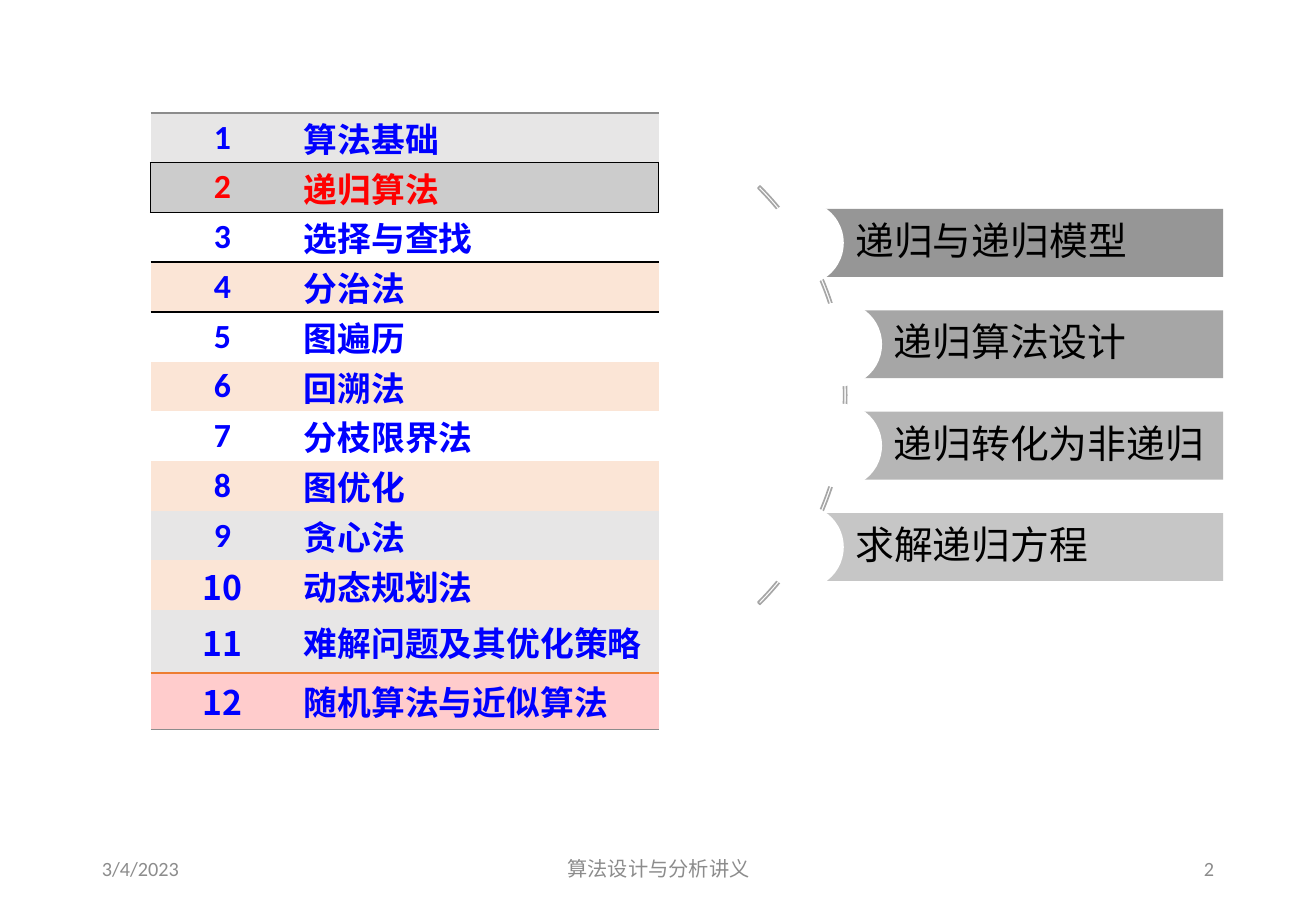
import pptx
import pptx.dml.color
import pptx.enum.shapes
import pptx.enum.text
import pptx.oxml
import pptx.oxml.ns
import pptx.util

Cm = pptx.util.Cm
Pt = pptx.util.Pt
RGBColor = pptx.dml.color.RGBColor
Align = pptx.enum.text.PP_ALIGN
Shape = pptx.enum.shapes.MSO_SHAPE
MIDDLE = pptx.enum.text.MSO_ANCHOR.MIDDLE

LATIN = "Calibri"
CHINESE = "Noto Sans CJK SC"
NO_STYLE = "{2D5ABB26-0587-4C30-8999-92F81FD0307C}"

BLACK = RGBColor(0x00, 0x00, 0x00)
WHITE = RGBColor(0xFF, 0xFF, 0xFF)
BLUE = RGBColor(0x00, 0x00, 0xFF)
RED = RGBColor(0xFF, 0x00, 0x00)
ORANGE = RGBColor(0xED, 0x7D, 0x31)
PALE_GRAY = RGBColor(0xE7, 0xE6, 0xE6)
MID_GRAY = RGBColor(0xCC, 0xCC, 0xCC)
PEACH = RGBColor(0xFB, 0xE5, 0xD6)
PINK = RGBColor(0xFF, 0xCC, 0xCC)
RULE_GRAY = RGBColor(0x8C, 0x8C, 0x8C)
ARC_GRAY = RGBColor(0xA6, 0xA6, 0xA6)

# Chapter title and row fill
CHAPTERS = [
    ("算法基础", PALE_GRAY),
    ("递归算法", MID_GRAY),
    ("选择与查找", None),
    ("分治法", PEACH),
    ("图遍历", None),
    ("回溯法", PEACH),
    ("分枝限界法", None),
    ("图优化", PEACH),
    ("贪心法", PALE_GRAY),
    ("动态规划法", PEACH),
    ("难解问题及其优化策略", PALE_GRAY),
    ("随机算法与近似算法", PINK),
]
CURRENT = 2
# Rules above the chapter rows; the last one closes the table
RULES = {1: RULE_GRAY, 2: BLACK, 3: BLACK, 4: BLACK, 12: ORANGE, 13: RULE_GRAY}

# Topic, left edge in cm, bar colour
TOPICS = [
    ("递归与递归模型", 16.76, RGBColor(0x96, 0x96, 0x96)),
    ("递归算法设计", 17.56, RGBColor(0xA6, 0xA6, 0xA6)),
    ("递归转化为非递归", 17.56, RGBColor(0xB6, 0xB6, 0xB6)),
    ("求解递归方程", 16.76, RGBColor(0xC6, 0xC6, 0xC6)),
]
BAR_TOP, BAR_PITCH, BAR_HEIGHT, BAR_RIGHT = 4.37, 2.12, 1.42, 25.57
DISC = 1.76

# Text, left, width, alignment
FOOTERS = [
    ("3/4/2023", 1.88, 6.2, Align.LEFT),
    ("算法设计与分析讲义", 9.12, 9.3, Align.CENTER),
    ("2", 19.43, 6.2, Align.RIGHT),
]


def write(frame, text, size, color, align, font=LATIN, bold=False):
    frame.word_wrap = True
    frame.vertical_anchor = MIDDLE
    para = frame.paragraphs[0]
    para.text = text
    para.alignment = align
    para.font.size = Pt(size)
    para.font.bold = bold
    para.font.color.rgb = color
    para.font.name = font
    # East Asian typeface next to the Latin one
    latin = para._p.find(".//" + pptx.oxml.ns.qn("a:latin"))
    latin.addnext(pptx.oxml.parse_xml(
        f'<a:ea {pptx.oxml.ns.nsdecls("a")} typeface="{CHINESE}"/>'))
    return para


def add_border(cell, side, color):
    cell._tc.get_or_add_tcPr().append(pptx.oxml.parse_xml(
        f'<a:ln{side} {pptx.oxml.ns.nsdecls("a")} w="12700"><a:solidFill>'
        f'<a:srgbClr val="{color}"/></a:solidFill></a:ln{side}>'))


def fill_cell(cell, number, column, fill):
    cell.margin_left = cell.margin_right = Cm(0.2)
    cell.margin_top = cell.margin_bottom = 0
    cell.vertical_anchor = MIDDLE
    # Borders come before the fill
    if number == CURRENT:
        add_border(cell, "LR"[column], BLACK)
    for side, rule in (("T", number), ("B", number + 1)):
        if rule in RULES:
            add_border(cell, side, RULES[rule])
    if fill is None:
        cell.fill.background()
    else:
        cell.fill.solid()
        cell.fill.fore_color.rgb = fill


def add_chapter_table(page):
    table = page.shapes.add_table(
        len(CHAPTERS), 2, Cm(3.15), Cm(2.36), Cm(10.62), Cm(12.9)).table
    table.first_row = table.horz_banding = False
    table._tbl.tblPr.find(pptx.oxml.ns.qn("a:tableStyleId")).text = NO_STYLE
    table.columns[0].width, table.columns[1].width = Cm(3), Cm(7.62)
    special_heights = {11: 1.31, 12: 1.18}
    for number, (title, fill) in enumerate(CHAPTERS, 1):
        table.rows[number - 1].height = Cm(special_heights.get(number, 1.04))
        color = RED if number == CURRENT else BLUE
        number_font = CHINESE if number >= 10 else LATIN
        columns = [(str(number), Align.CENTER, number_font),
                   (title, Align.JUSTIFY, CHINESE)]
        for column, (text, align, font) in enumerate(columns):
            cell = table.cell(number - 1, column)
            fill_cell(cell, number, column, fill)
            write(cell.text_frame, text, 20, color, align, font, True)


def add_plain_shape(page, kind, left, top, width, height, fill):
    shape = page.shapes.add_shape(kind, Cm(left), Cm(top), Cm(width), Cm(height))
    shape.shadow.inherit = False
    shape.line.fill.background()
    if fill is None:
        shape.fill.background()
    else:
        shape.fill.solid()
        shape.fill.fore_color.rgb = fill
    return shape


def add_arc(page):
    arc = add_plain_shape(page, Shape.BLOCK_ARC, 5.33, 2.08, 12.37, 12.37, None)
    for index, value in enumerate((189, 27, 0.005)):
        arc.adjustments[index] = value
    arc.line.color.rgb = ARC_GRAY
    arc.line.width = Pt(1)


def add_topic(page, text, left, top, color):
    bar = add_plain_shape(page, Shape.RECTANGLE, left, top,
                          BAR_RIGHT - left, BAR_HEIGHT, color)
    frame = bar.text_frame
    frame.margin_left = Cm(1.12)
    frame.margin_right = frame.margin_top = frame.margin_bottom = Cm(0.15)
    write(frame, text, 23, BLACK, Align.LEFT).line_spacing = 0.9
    # White disc centred on the bar's left end
    add_plain_shape(page, Shape.OVAL, left - DISC / 2,
                    top + (BAR_HEIGHT - DISC) / 2, DISC, DISC, WHITE)


def add_footer(page, text, left, width, align):
    box = page.shapes.add_textbox(Cm(left), Cm(17.65), Cm(width), Cm(1.02))
    write(box.text_frame, text, 12, RULE_GRAY, align)


def main():
    deck = pptx.Presentation()
    deck.slide_width, deck.slide_height = Cm(27.51), Cm(19.05)
    page = deck.slides.add_slide(deck.slide_layouts[6])

    # Course chapters
    add_chapter_table(page)

    # Topics of the current chapter
    add_arc(page)
    for index, (text, left, color) in enumerate(TOPICS):
        add_topic(page, text, left, BAR_TOP + index * BAR_PITCH, color)

    # Date, course and page number
    for footer in FOOTERS:
        add_footer(page, *footer)

    deck.save("out.pptx")


if __name__ == "__main__":
    main()
